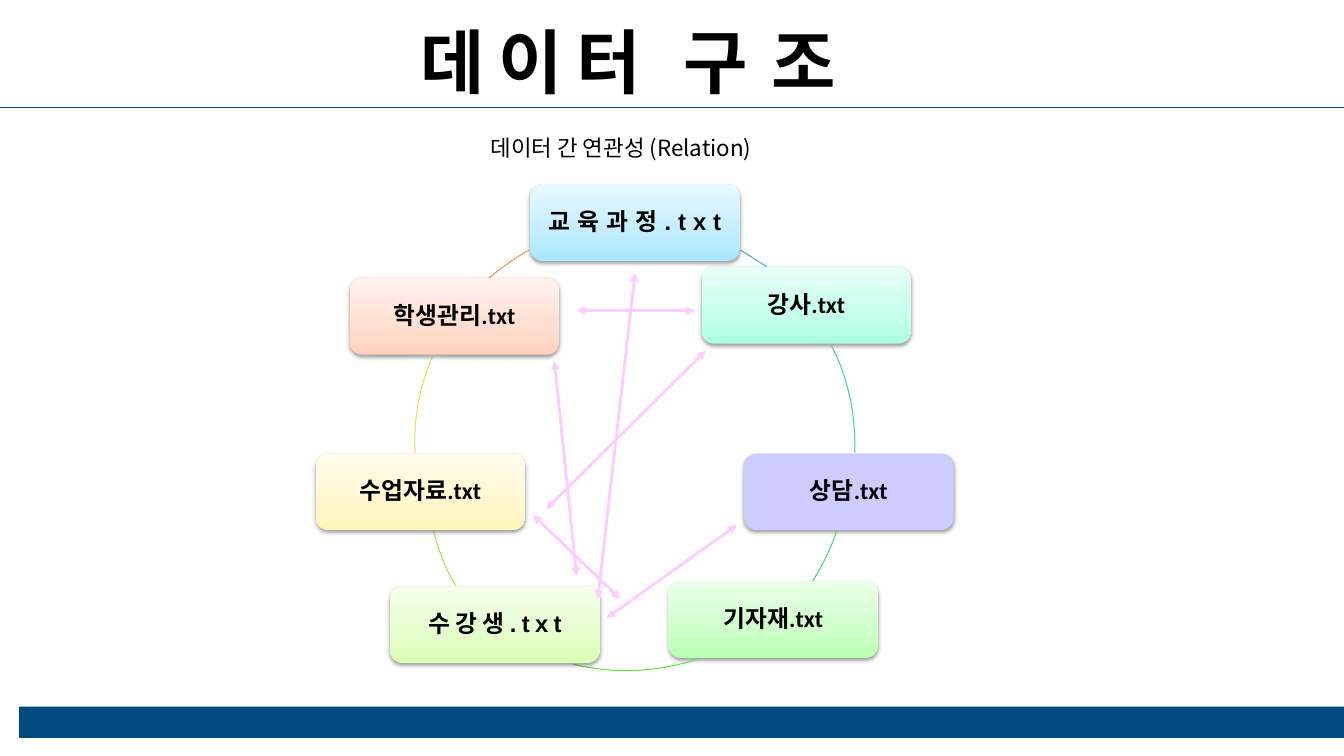
import copy
from dataclasses import dataclass

import pptx
import pptx.dml.color
import pptx.enum.shapes
import pptx.enum.text
import pptx.oxml
import pptx.oxml.ns
import pptx.util
from lxml import etree

Pt = pptx.util.Pt
qn = pptx.oxml.ns.qn
Point = tuple[float, float]

COLORS = {"navy": "024B80", "text": "000000", "relation": "FFCCFF"}
KOREAN_FONT = "Noto Sans CJK KR"
FILE_WIDTH, FILE_HEIGHT = 149.8, 54.7
ARC_STEPS = 16


@dataclass
class DataFile:
    label: str
    left: float
    top: float
    fill: tuple[str, ...]
    font: str = "Calibri"
    spacing: float = 0


@dataclass
class RingArc:
    """A cubic curve: start, two control points, end."""
    color: str
    points: tuple[Point, Point, Point, Point]


@dataclass
class Relation:
    start: Point
    end: Point


DATA_FILES = [
    DataFile("교육과정.txt", 378.7, 131.8, ("A7E6FF", "C1EDFF", "E7F8FF"), "Arial", 5),
    DataFile("강사.txt", 501.1, 190.8, ("ABFFE3", "C3FFEA", "E8FFF7")),
    DataFile("상담.txt", 531.4, 324, ("CCCCFF",)),
    DataFile("기자재.txt", 477.4, 415.4, ("B9FFB2", "CDFFC9", "ECFFEA")),
    DataFile("수강생.txt", 278.6, 419, ("DBFFB6", "E5FFCB", "F5FFEB"), "Arial", 3.8),
    DataFile("수업자료.txt", 225.4, 324, ("FFF6B9", "FFF8CE", "FFFCEC")),
    DataFile("학생관리.txt", 249.8, 198.7, ("FFD2BD", "FFDED0", "FFF2ED")),
]
RING = [
    RingArc("4BACC6", ((528.5, 178.6), (535, 182.2), (541.4, 186.5), (547.9, 190.8))),
    RingArc("49CFAE", ((594, 247), (606.2, 270.7), (611.3, 296.6), (610.6, 323.3))),
    RingArc("47D872", ((597.6, 379.4), (593.3, 392.4), (587.5, 403.9), (580.3, 415.4))),
    RingArc("60E146", ((498.2, 470.9), (469.4, 480.2), (439.2, 481.7), (409.7, 474.5))),
    RingArc("ACE946", ((325.4, 418.3), (318.2, 406.1), (313.2, 393.1), (309.6, 379.4))),
    RingArc("F0E146", ((296.6, 323.3), (295.2, 299.5), (299.5, 276.5), (308.9, 254.9))),
    RingArc("F79646", ((349.2, 198.7), (358.6, 190.8), (367.9, 184.3), (378, 178.6))),
]
RELATIONS = [
    Relation((453.6, 195.1), (427, 427.7)),
    Relation((526.3, 375.1), (433.4, 441.4)),
    Relation((396, 257.8), (411.8, 411.1)),
    Relation((411.8, 221.8), (496.1, 221.8)),
    Relation((442.8, 427.7), (380.9, 367.9)),
    Relation((504, 250.6), (390.2, 363.6)),
]


def rgb(color: str) -> pptx.dml.color.RGBColor:
    return pptx.dml.color.RGBColor.from_string(color)


def add_run(paragraph, text: str, *, size: float, font: str,
            bold: bool = False, spacing: float = 0) -> None:
    run = paragraph.add_run()
    run.text = text
    run.font.size = Pt(size)
    run.font.name = font
    run.font.bold = bold
    run.font.color.rgb = rgb(COLORS["text"])
    properties = run.font._element
    latin = properties.find(qn("a:latin"))
    east_asian = etree.Element(qn("a:ea"), typeface=KOREAN_FONT)
    latin.addnext(east_asian)
    if spacing:
        properties.set("spc", str(round(spacing * 100)))


def add_heading(slide, left: float, top: float, width: float, height: float):
    """Add an empty heading box and return its paragraph."""
    box = slide.shapes.add_textbox(Pt(left), Pt(top), Pt(width), Pt(height))
    frame = box.text_frame
    frame.word_wrap = True
    frame.margin_left = frame.margin_right = frame.margin_bottom = 0
    frame.margin_top = Pt(1)
    return frame.paragraphs[0]


def fill_gradient(shape, colors: tuple[str, ...]) -> None:
    """Run three colours from the bottom edge to the top edge."""
    shape.fill.gradient()
    shape.fill.gradient_angle = 90
    stop_list = shape._element.spPr.find(qn("a:gradFill")).find(qn("a:gsLst"))
    stop_list.insert(1, copy.deepcopy(stop_list[0]))
    for stop, color, position in zip(shape.fill.gradient_stops, colors, (0, 0.35, 1)):
        stop.color.rgb = rgb(color)
        stop.position = position


def add_soft_shadow(shape) -> None:
    shape.shadow.inherit = False
    effects = shape._element.spPr.find(qn("a:effectLst"))
    shadow = etree.SubElement(effects, qn("a:outerShdw"), blurRad=str(Pt(3.1)),
                              dist=str(Pt(1.6)), dir="5400000", rotWithShape="0")
    shade = etree.SubElement(shadow, qn("a:srgbClr"), val=COLORS["text"])
    etree.SubElement(shade, qn("a:alpha"), val="38000")


def add_data_file(slide, item: DataFile) -> None:
    card = slide.shapes.add_shape(
        pptx.enum.shapes.MSO_SHAPE.ROUNDED_RECTANGLE,
        Pt(item.left), Pt(item.top), Pt(FILE_WIDTH), Pt(FILE_HEIGHT))
    if len(item.fill) == 1:
        card.fill.solid()
        card.fill.fore_color.rgb = rgb(item.fill[0])
    else:
        fill_gradient(card, item.fill)
    card.line.fill.background()
    add_soft_shadow(card)
    frame = card.text_frame
    frame.word_wrap = False
    frame.vertical_anchor = pptx.enum.text.MSO_ANCHOR.MIDDLE
    label = frame.paragraphs[0]
    label.alignment = pptx.enum.text.PP_ALIGN.CENTER
    label.line_spacing = 0.9
    add_run(label, item.label, size=17, font=item.font, bold=True, spacing=item.spacing)


def curve_point(points: tuple[Point, ...], t: float) -> Point:
    weights = ((1 - t) ** 3, 3 * t * (1 - t) ** 2, 3 * t ** 2 * (1 - t), t ** 3)
    x, y = (sum(w * p[axis] for w, p in zip(weights, points)) for axis in (0, 1))
    return Pt(x), Pt(y)


def add_ring_arc(slide, arc: RingArc) -> None:
    start, *rest = [curve_point(arc.points, step / ARC_STEPS) for step in range(ARC_STEPS + 1)]
    builder = slide.shapes.build_freeform(*start)
    builder.add_line_segments(rest, close=False)
    curve = builder.convert_to_shape()
    curve.fill.background()
    curve.line.color.rgb = rgb(arc.color)
    curve.line.width = Pt(0.75)
    curve.shadow.inherit = False


def add_line(slide, start: Point, end: Point, color: str, width: float,
             arrows: bool = False) -> None:
    line = slide.shapes.add_connector(
        pptx.enum.shapes.MSO_CONNECTOR.STRAIGHT, *map(Pt, start + end))
    line.line.color.rgb = rgb(color)
    line.line.width = Pt(width)
    if arrows:
        outline = line.line._get_or_add_ln()
        for tag in ("a:headEnd", "a:tailEnd"):
            etree.SubElement(outline, qn(tag), type="triangle")
    etree.SubElement(line._element.spPr, qn("a:effectLst"))


def main() -> None:
    deck = pptx.Presentation()
    deck.slide_width, deck.slide_height = Pt(960), Pt(540)
    slide = deck.slides.add_slide(deck.slide_layouts[6])

    title = add_heading(slide, 300.2, 12.2, 331.2, 61.9)
    add_run(title, "데이터 ", size=50, font="Arial", bold=True, spacing=9.7)
    add_run(title, "구조", size=50, font="Arial", bold=True, spacing=16.6)

    footer = slide.shapes.add_shape(
        pptx.enum.shapes.MSO_SHAPE.RECTANGLE, Pt(13.7), Pt(504.7), Pt(946.3), Pt(22.3))
    footer.fill.solid()
    footer.fill.fore_color.rgb = rgb(COLORS["navy"])
    footer.line.fill.background()
    footer.shadow.inherit = False
    add_line(slide, (0, 77), (960, 77), COLORS["navy"], 0.75)

    for item, arc in zip(DATA_FILES, RING):
        add_data_file(slide, item)
        add_ring_arc(slide, arc)
    for relation in RELATIONS:
        add_line(slide, relation.start, relation.end, COLORS["relation"], 2, arrows=True)

    subtitle = add_heading(slide, 350.6, 95, 258.5, 41.8)
    add_run(subtitle, "데이터 간 연관성 (Relation)", size=16, font=KOREAN_FONT)

    deck.save("out.pptx")


if __name__ == "__main__":
    main()
